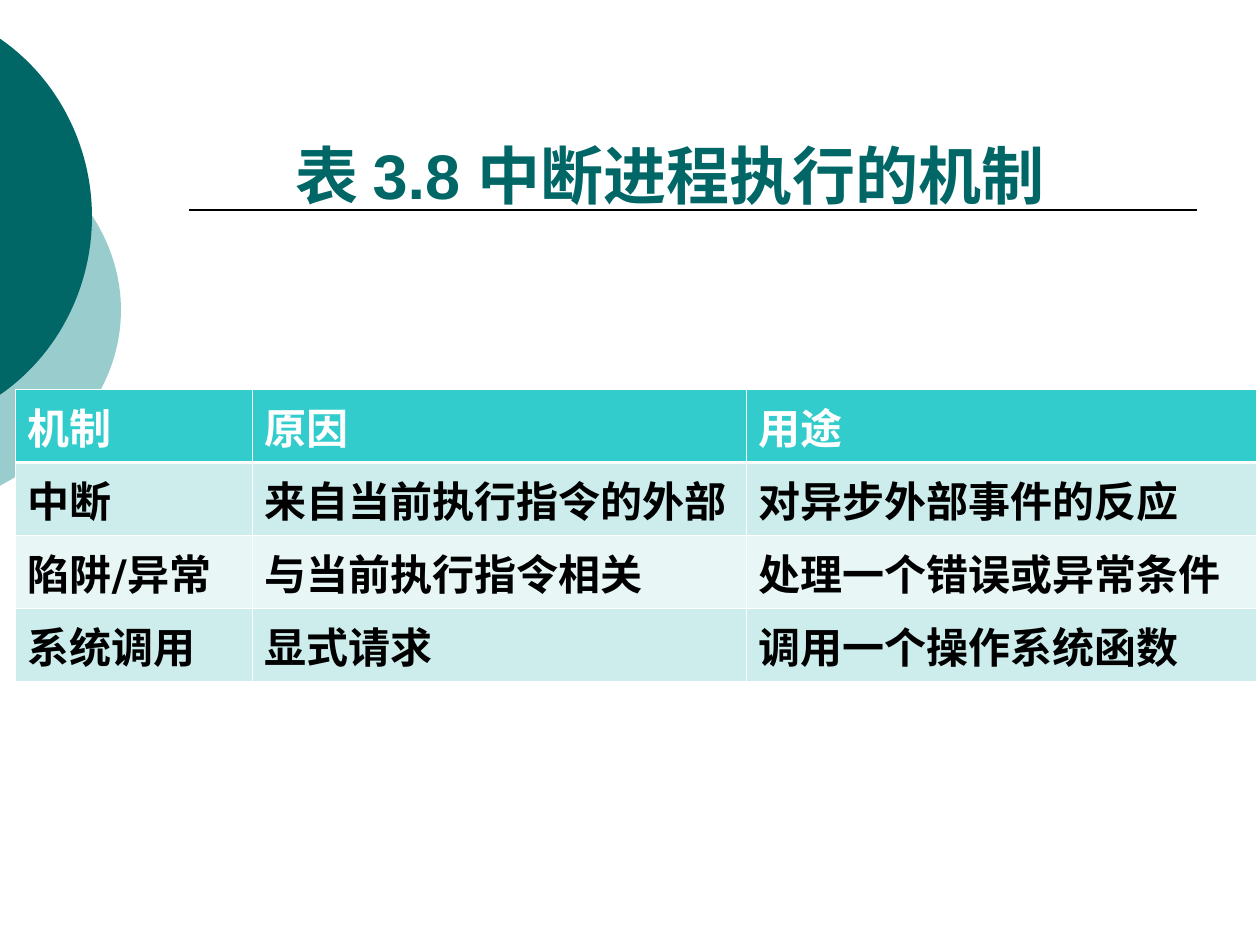
from dataclasses import dataclass

from lxml import etree
from pptx import Presentation
from pptx.dml.color import RGBColor
from pptx.enum.shapes import MSO_CONNECTOR
from pptx.enum.text import MSO_ANCHOR, PP_ALIGN
from pptx.oxml.ns import qn
from pptx.util import Inches, Pt

STRAIGHT = MSO_CONNECTOR.STRAIGHT
BOTTOM = MSO_ANCHOR.BOTTOM
CENTER = PP_ALIGN.CENTER

DARK_TEAL = RGBColor(0x00, 0x66, 0x66)
PALE_TEAL = RGBColor(0x99, 0xCC, 0xCC)
HEADER_FILL = RGBColor(0x33, 0xCC, 0xCC)
ODD_FILL = RGBColor(0xCD, 0xEC, 0xEC)
EVEN_FILL = RGBColor(0xE8, 0xF6, 0xF6)
BLACK = RGBColor(0x00, 0x00, 0x00)
WHITE = RGBColor(0xFF, 0xFF, 0xFF)

# The slide is a grid of 10 columns by 7.5 rows of equal square units
SLIDE_W, SLIDE_H = Inches(10), Inches(7.5)
UNIT = SLIDE_W / 10
SLIDE_EDGE = -0.01
THIN, THICK = 0.45, 1.47


@dataclass(frozen=True)
class EdgeDisc:
    """Disc cut off by the left slide edge: frame and upper arc, in grid units."""
    left: float
    top: float
    width: float
    height: float
    arc_top: float
    arc_middle: float
    shoulder: tuple[float, float]
    handle: float
    color: RGBColor


DISCS = (
    EdgeDisc(-3.54, 0.75, 4.5, 3.42, 1.06, 2.46, (0.6, 1.38), 1.9, PALE_TEAL),
    EdgeDisc(-2.65, 0, 3.38, 3.45, 0.3, 1.72, (0.46, 0.62), 1.16, DARK_TEAL),
)
COLUMN_WIDTHS = (1.88, 3.92, 4.05)
ROW_HEIGHT = 0.58
MECHANISMS = (
    ("机制", "原因", "用途"),
    ("中断", "来自当前执行指令的外部", "对异步外部事件的反应"),
    ("陷阱/异常", "与当前执行指令相关", "处理一个错误或异常条件"),
    ("系统调用", "显式请求", "调用一个操作系统函数"),
)


def grid(units: float) -> int:
    return round(units * UNIT)


def draw_disc(slide, disc: EdgeDisc) -> None:
    right, bottom = disc.left + disc.width, disc.top + disc.height
    frame = [(grid(x), grid(y)) for x, y in (
        (disc.left, disc.top), (right, disc.top),
        (right, bottom), (disc.left, bottom))]
    builder = slide.shapes.build_freeform(*frame[0])
    builder.add_line_segments(frame[1:], close=True)
    segment = builder.convert_to_shape()

    # Two curves, the lower one mirroring the upper one
    upper = [(SLIDE_EDGE, disc.arc_top), disc.shoulder,
             (right, disc.handle), (right, disc.arc_middle)]
    lower = [(x, 2 * disc.arc_middle - y) for x, y in reversed(upper[:3])]
    outline = segment._element.spPr.find(f".//{qn('a:path')}")
    for step in list(outline):
        outline.remove(step)
    for command, points in (("moveTo", upper[:1]), ("cubicBezTo", upper[1:]),
                            ("cubicBezTo", lower), ("close", [])):
        step = etree.SubElement(outline, qn(f"a:{command}"))
        for x, y in points:
            etree.SubElement(step, qn("a:pt"), x=str(grid(x - disc.left)),
                             y=str(grid(y - disc.top)))

    segment.shadow.inherit = False
    segment.fill.solid()
    segment.fill.fore_color.rgb = disc.color
    segment.line.fill.background()


def draw_rule(slide, left: float, right: float, y: float) -> None:
    rule = slide.shapes.add_connector(
        STRAIGHT, grid(left), grid(y), grid(right), grid(y))
    rule.line.color.rgb = BLACK
    rule.line.width = Pt(1)
    etree.SubElement(rule._element.spPr, qn("a:effectLst"))


def draw_title(slide, text: str) -> None:
    title = slide.shapes.add_textbox(grid(0.79), grid(0.13), grid(9.17), grid(1.6))
    frame = title.text_frame
    frame.word_wrap = True
    frame.vertical_anchor = BOTTOM
    frame.text = text
    paragraph = frame.paragraphs[0]
    paragraph.alignment = CENTER
    paragraph.line_spacing = Pt(48)
    font = paragraph.runs[0].font
    font.name, font.size, font.bold = "Arial", Pt(36), True
    font.color.rgb = DARK_TEAL


def set_borders(cell, top: float, bottom: float) -> None:
    properties = cell._tc.get_or_add_tcPr()
    widths = {"lnL": THIN, "lnR": THIN, "lnT": top, "lnB": bottom}
    for position, (side, width) in enumerate(widths.items()):
        border = etree.Element(qn(f"a:{side}"), w=str(Pt(width)))
        fill = etree.SubElement(border, qn("a:solidFill"))
        etree.SubElement(fill, qn("a:srgbClr"), val=str(WHITE))
        properties.insert(position, border)


def fill_cell(cell, text: str, row: int) -> None:
    cell.text = text
    font = cell.text_frame.paragraphs[0].runs[0].font
    font.name, font.size, font.bold = "DejaVu Sans", Pt(24), True
    font.color.rgb = BLACK if row else WHITE
    cell.fill.solid()
    band = ODD_FILL if row % 2 else EVEN_FILL
    cell.fill.fore_color.rgb = band if row else HEADER_FILL
    set_borders(cell, THICK if row == 1 else THIN, THIN if row else THICK)


def draw_mechanisms(slide, left: float, top: float) -> None:
    table = slide.shapes.add_table(
        len(MECHANISMS), len(COLUMN_WIDTHS), grid(left), grid(top),
        grid(sum(COLUMN_WIDTHS)), grid(ROW_HEIGHT * len(MECHANISMS))).table
    for column, width in zip(table.columns, COLUMN_WIDTHS):
        column.width = grid(width)
    for row, texts in enumerate(MECHANISMS):
        table.rows[row].height = grid(ROW_HEIGHT)
        for column, text in enumerate(texts):
            fill_cell(table.cell(row, column), text, row)


def main() -> None:
    deck = Presentation()
    deck.slide_width, deck.slide_height = SLIDE_W, SLIDE_H
    slide = deck.slides.add_slide(deck.slide_layouts[6])

    # Decoration at the left edge and under the title
    for disc in DISCS:
        draw_disc(slide, disc)
    draw_rule(slide, 1.5, 9.5, 5 / 3)

    # Content
    draw_title(slide, "表 3.8 中断进程执行的机制 ")
    draw_mechanisms(slide, 0.12, 3.09)
    deck.save("out.pptx")


if __name__ == "__main__":
    main()
